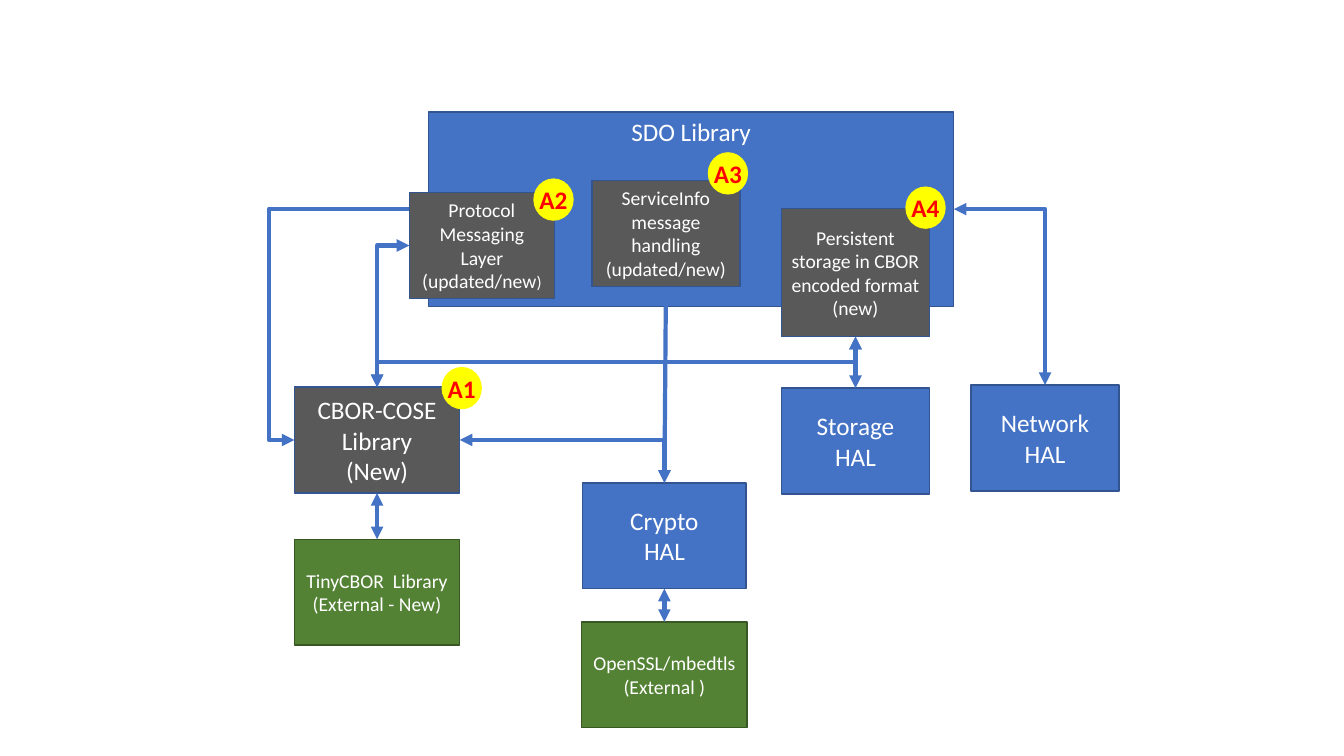
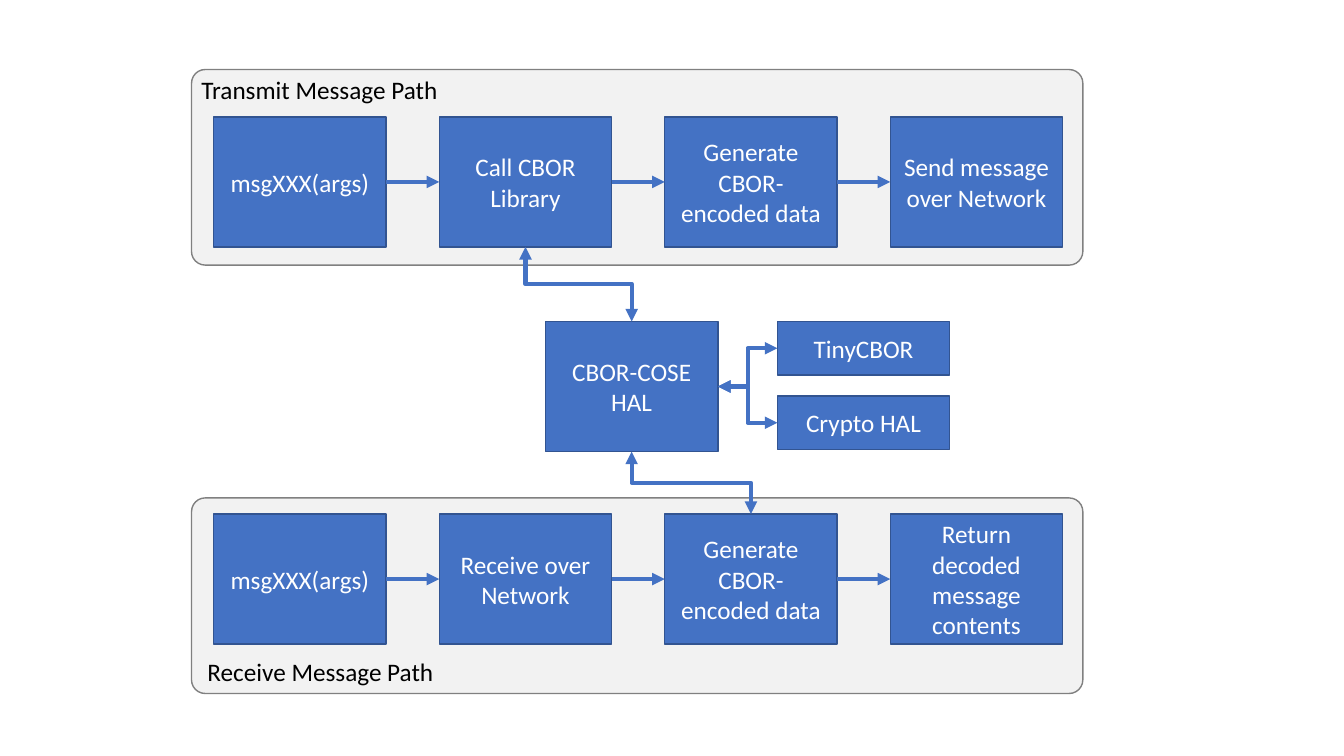
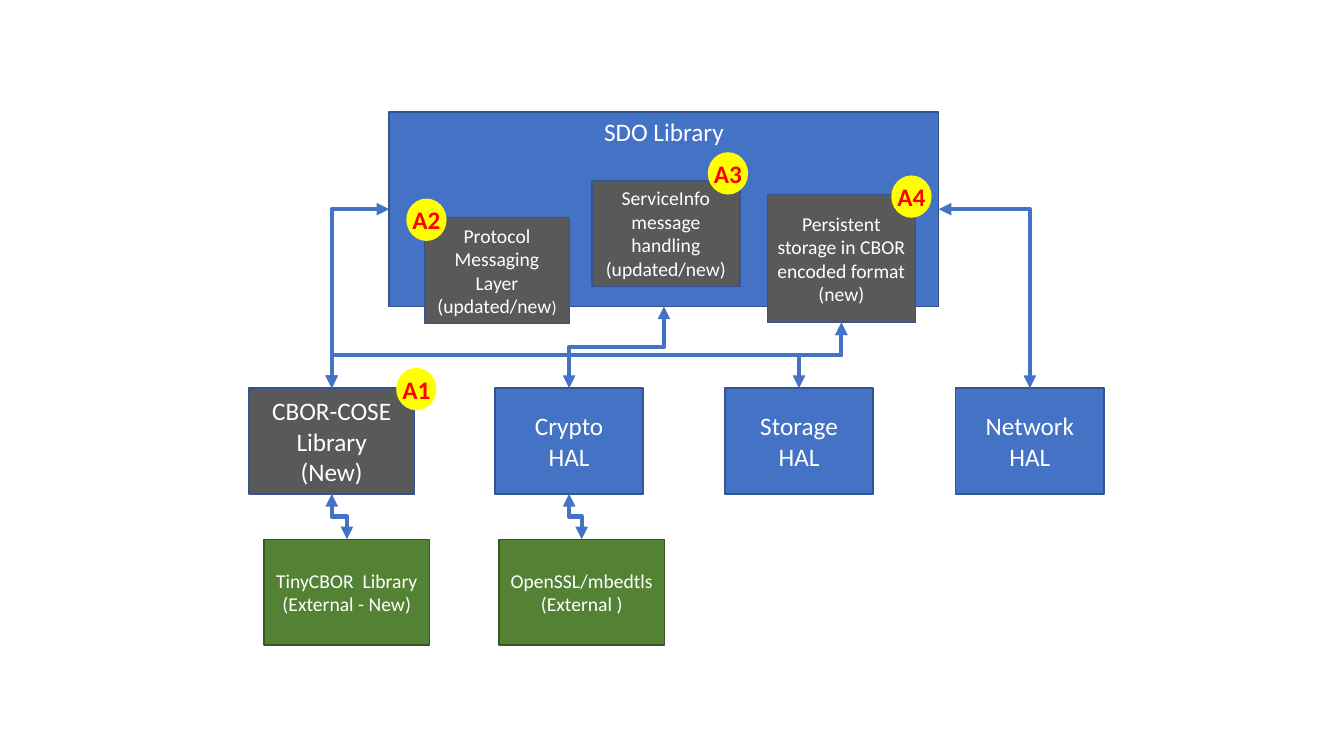
"""Build three slides on the architecture and message paths of a CBOR device library."""
from collections import namedtuple
from lxml.etree import SubElement
from pptx import Presentation
from pptx.dml.color import RGBColor
from pptx.enum.shapes import MSO_CONNECTOR, MSO_SHAPE
from pptx.enum.text import MSO_ANCHOR, PP_ALIGN
from pptx.oxml.ns import qn
from pptx.util import Inches, Pt

FONT = "Calibri"
BLUE = RGBColor(0x44, 0x72, 0xC4)
NAVY = RGBColor(0x32, 0x54, 0x91)
CHARCOAL = RGBColor(0x59, 0x59, 0x59)
GREEN = RGBColor(0x54, 0x82, 0x35)
DARK_GREEN = RGBColor(0x38, 0x57, 0x23)
YELLOW = RGBColor(0xFF, 0xFF, 0x00)
RED = RGBColor(0xFF, 0x00, 0x00)
PALE = RGBColor(0xF2, 0xF2, 0xF2)
GREY = RGBColor(0x80, 0x80, 0x80)
WHITE = RGBColor(0xFF, 0xFF, 0xFF)
BLACK = RGBColor(0x00, 0x00, 0x00)

Style = namedtuple("Style", "shape fill line color size")
STYLES = {
    "host": Style(MSO_SHAPE.RECTANGLE, BLUE, NAVY, WHITE, 18),
    "hal": Style(MSO_SHAPE.RECTANGLE, BLUE, NAVY, WHITE, 18),
    "core": Style(MSO_SHAPE.RECTANGLE, CHARCOAL, NAVY, WHITE, 18),
    "part": Style(MSO_SHAPE.RECTANGLE, CHARCOAL, NAVY, WHITE, 14),
    "external": Style(MSO_SHAPE.RECTANGLE, GREEN, DARK_GREEN, WHITE, 14),
    "badge": Style(MSO_SHAPE.OVAL, YELLOW, None, RED, 18),
    "panel": Style(MSO_SHAPE.ROUNDED_RECTANGLE, PALE, GREY, BLACK, 18),
}

SMALL = 12
PARTS = {
    "sdo": ("host", "SDO Library", 5.21, 1.93),
    "service": ("part", "ServiceInfo message handling (updated/new)", 1.47, 1.05),
    "protocol": ("part", "Protocol Messaging Layer\n(updated/new|)", 1.44, 1.05),
    "persistent": ("part", "Persistent storage in CBOR encoded format\n(new)", 1.47, 1.27),
    "cose": ("core", "CBOR-COSE Library\n(New)", 1.64, 1.05),
    "tinycbor": ("external", "TinyCBOR  Library\n(External - New)", 1.64, 1.05),
    "crypto": ("hal", "Crypto\nHAL", 1.47, 1.05),
    "tls": ("external", "OpenSSL/mbedtls\n(External )", 1.64, 1.05),
    "storage": ("hal", "Storage\nHAL", 1.47, 1.05),
    "network": ("hal", "Network HAL", 1.47, 1.05),
    "A1": ("badge", "A1", 0.4, 0.42),
    "A2": ("badge", "A2", 0.4, 0.42),
    "A3": ("badge", "A3", 0.4, 0.42),
    "A4": ("badge", "A4", 0.4, 0.42),
}

DIRECT_STAGES = [
    ([("sdo", 4.25, 1.11), ("service", 5.87, 1.79), ("persistent", 7.75, 2.07),
      ("cose", 2.92, 3.84), ("tinycbor", 2.92, 5.35), ("crypto", 5.78, 4.79, 1.62),
      ("tls", 5.77, 6.17), ("storage", 7.75, 3.85), ("network", 9.63, 3.82)],
     [("persistent", "bottom", "cose", "top"),
      ("sdo", "right", "network", "top"),
      ((4.46, 2.07), "left", "cose", "left", 1.163),
      ("crypto", "top", "cose", "right")]),
    ([("protocol", 4.06, 1.91), ("A1", 4.38, 3.64), ("A2", 5.29, 1.77),
      ("A3", 7.02, 1.51), ("A4", 8.98, 1.85)],
     [("protocol", "left", "cose", "top"),
      ("persistent", "bottom", "storage", "top"),
      ("cose", "bottom", "tinycbor", "top"),
      ("service", "bottom", "crypto", "top"),
      ("crypto", "bottom", "tls", "top")]),
]

LAYERED_STAGES = [
    ([("sdo", 3.86, 1.11, 5.45), ("service", 5.87, 1.79), ("protocol", 4.21, 2.16),
      ("persistent", 7.61, 1.93), ("cose", 2.47, 3.85), ("tinycbor", 2.62, 5.35),
      ("crypto", 4.91, 3.85), ("tls", 4.95, 5.35), ("storage", 7.19, 3.85),
      ("network", 9.48, 3.85)],
     [("persistent", "bottom", "storage", "top"),
      ("persistent", "bottom", "cose", "top"),
      ("cose", "bottom", "tinycbor", "top"),
      ("crypto", "bottom", "tls", "top"),
      ("sdo", "bottom", "crypto", "top"),
      ("sdo", "right", "network", "top"),
      ("sdo", "left", "cose", "top")]),
    ([("A1", 3.93, 3.65), ("A2", 4.03, 1.97), ("A3", 7.02, 1.51), ("A4", 8.84, 1.74)], []),
]

PATHS = [
    ("Transmit Message Path", 0.69, 1.16, (1.9, 0.69, 2.57),
     ["msgXXX(args)", "Call CBOR Library", "Generate CBOR-encoded data",
      "Send message over Network"]),
    ("Receive Message Path", 4.94, 5.1, (1.96, 6.46, 2.47),
     ["msgXXX(args)", "Receive over Network", "Generate CBOR-encoded data",
      "Return decoded message contents"]),
]
STEP_W, STEP_H = 1.71, 1.29
FIRST_X, LAST_X = 2.12, 8.83
SHARED = [
    ("CBOR-COSE HAL", 5.41, 3.19, STEP_H),
    ("TinyCBOR", 7.71, 3.19, 0.53),
    ("Crypto HAL", 7.71, 3.93, 0.53),
]
SHARED_LINKS = [
    ("Call CBOR Library", "bottom", "CBOR-COSE HAL", "top"),
    ("CBOR-COSE HAL", "bottom", "Generate CBOR-encoded data", "top"),
    ("CBOR-COSE HAL", "right", "TinyCBOR", "left"),
    ("CBOR-COSE HAL", "right", "Crypto HAL", "left"),
]

SITES = ["top", "left", "bottom", "right"]
UPRIGHT = ("top", "bottom")
BENDS = {
    (True, False, True): (90, ""),
    (True, True, True): (270, "H"),
    (True, False, False): (270, "V"),
    (False, True, True): (0, ""),
    (False, True, False): (0, "V"),
    (False, False, True): (180, "V"),
}


def format_run(r, size, color, bold=False):
    r.font.name, r.font.size, r.font.bold = FONT, Pt(size), bold
    r.font.color.rgb = color


def add_box(s, kind, text, x, y, w, h):
    style = STYLES[kind]
    sp = s.shapes.add_shape(style.shape, Inches(x), Inches(y), Inches(w), Inches(h))
    sp.shadow.inherit = False
    sp.fill.solid()
    sp.fill.fore_color.rgb = style.fill
    if style.line is None:
        sp.line.fill.background()
    else:
        sp.line.color.rgb, sp.line.width = style.line, Pt(1)
    tf = sp.text_frame
    tf.vertical_anchor = MSO_ANCHOR.TOP if kind == "host" else MSO_ANCHOR.MIDDLE
    if kind == "badge":
        tf.margin_left = tf.margin_right = tf.margin_top = tf.margin_bottom = 0
    for i, line in enumerate(text.split("\n") if text else []):
        p = tf.add_paragraph() if i else tf.paragraphs[0]
        p.alignment = PP_ALIGN.CENTER
        for part, size in zip(line.split("|"), (style.size, SMALL)):
            r = p.add_run()
            r.text = part
            format_run(r, size, style.color, kind == "badge")
    return sp


def add_label(s, text, x, y, w):
    tf = s.shapes.add_textbox(Inches(x), Inches(y), Inches(w), Inches(0.4)).text_frame
    tf.word_wrap = False
    tf.text = text
    format_run(tf.paragraphs[0].runs[0], 18, BLACK)


def bend(c, leave, arrive, ratio):
    dx, dy = c.end_x - c.begin_x, c.end_y - c.begin_y
    mid_x, mid_y = (c.begin_x + c.end_x) // 2, (c.begin_y + c.end_y) // 2
    upright = leave in UPRIGHT
    turn, flip = BENDS[upright, dx > 0, dy > 0]
    w, h = (abs(dy), abs(dx)) if upright else (abs(dx), abs(dy))
    c.left, c.top, c.width, c.height = mid_x - w // 2, mid_y - h // 2, w, h
    xfrm = c._element.spPr.xfrm
    xfrm.rot, xfrm.flipH, xfrm.flipV = turn, flip == "H", flip == "V"
    geom = c._element.spPr.find(qn("a:prstGeom"))
    if upright != (arrive in UPRIGHT):
        geom.set("prst", "bentConnector2")
    else:
        geom.set("prst", "bentConnector3")
        SubElement(geom.find(qn("a:avLst")), qn("a:gd"), name="adj1",
                   fmla=f"val {round(ratio * 100000)}")


def add_link(s, nodes, start, leave, end, arrive, ratio=0.5, both=True):
    x, y = (0, 0) if start in nodes else start
    c = s.shapes.add_connector(MSO_CONNECTOR.STRAIGHT, Inches(x), Inches(y), Inches(x), Inches(y))
    if start in nodes:
        c.begin_connect(nodes[start], SITES.index(leave))
    c.end_connect(nodes[end], SITES.index(arrive))
    if min(abs(c.end_x - c.begin_x), abs(c.end_y - c.begin_y)) > Inches(0.05):
        bend(c, leave, arrive, ratio)
    c.line.color.rgb, c.line.width = BLUE, Pt(3)
    ln = c.line._get_or_add_ln()
    for tag in ("a:headEnd", "a:tailEnd") if both else ("a:tailEnd",):
        SubElement(ln, qn(tag), type="triangle")
    SubElement(c._element.spPr, qn("a:effectLst"))


def add_architecture(s, stages):
    nodes = {}
    for places, links in stages:
        for name, x, y, *width in places:
            kind, text, w, h = PARTS[name]
            nodes[name] = add_box(s, kind, text, x, y, width[0] if width else w, h)
        for link in links:
            add_link(s, nodes, *link)


def add_paths(s):
    nodes = {}
    for title, panel_y, step_y, label, steps in PATHS:
        panel = add_box(s, "panel", "", 1.9, panel_y, 8.84, 1.94)
        panel.adjustments[0] = 0.07
        add_label(s, title, *label)
        gap = (LAST_X - FIRST_X) / (len(steps) - 1)
        for i, text in enumerate(steps):
            nodes[text] = add_box(s, "hal", text, FIRST_X + i * gap, step_y, STEP_W, STEP_H)
        for before, after in zip(steps, steps[1:]):
            add_link(s, nodes, before, "right", after, "left", both=False)
    for text, x, y, h in SHARED:
        nodes[text] = add_box(s, "hal", text, x, y, STEP_W, h)
    for link in SHARED_LINKS:
        add_link(s, nodes, *link)


prs = Presentation()
prs.slide_width, prs.slide_height = Inches(13.33), Inches(7.5)
blank = prs.slide_layouts[6]
add_architecture(prs.slides.add_slide(blank), DIRECT_STAGES)
add_paths(prs.slides.add_slide(blank))
add_architecture(prs.slides.add_slide(blank), LAYERED_STAGES)
prs.save("out.pptx")
